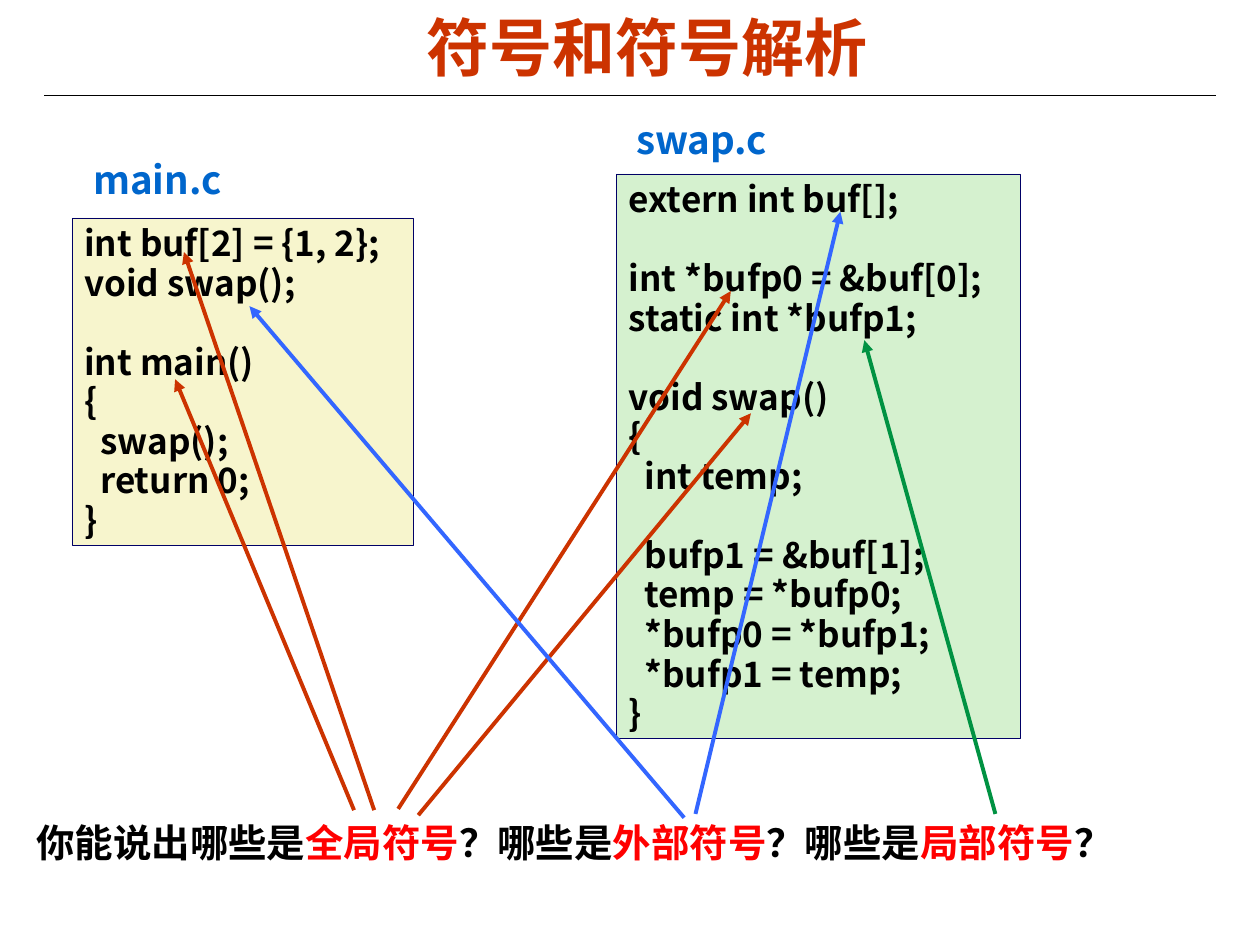
from dataclasses import dataclass

from lxml import etree
from pptx import Presentation
from pptx.dml.color import RGBColor
from pptx.enum.shapes import MSO_CONNECTOR, MSO_SHAPE
from pptx.enum.text import MSO_ANCHOR, PP_ALIGN
from pptx.oxml.ns import qn
from pptx.slide import Slide
from pptx.util import Inches, Pt

COLORS = {
    "title": "CC3300", "black": "000000", "border": "000066",
    "file": "0066CC", "main": "F7F5CD", "swap": "D5F1CF", "term": "FF0000",
    "global": "CC3300", "external": "3366FF", "local": "009242",
}

MAIN_CODE = """int buf[2] = {1, 2};
void swap();

int main()
{
  swap();
  return 0;
}"""

SWAP_CODE = """extern int buf[];

int *bufp0 = &buf[0];
static int *bufp1;

void swap()
{
  int temp;

  bufp1 = &buf[1];
  temp = *bufp0;
  *bufp0 = *bufp1;
  *bufp1 = temp;
}"""

QUESTION = [
    ("你能说出哪些是", "black"), ("全局符号", "term"),
    ("？哪些是", "black"), ("外部符号", "term"),
    ("？哪些是", "black"), ("局部符号", "term"), ("？", "black"),
]

SYMBOL_ARROWS = {
    "global": [((2.97, 6.43), (1.46, 2)), ((2.81, 6.43), (1.39, 3.01)),
               ((3.16, 6.42), (5.8, 2.31)), ((3.32, 6.47), (5.96, 3.28))],
    "external": [((5.43, 6.49), (1.98, 2.43)), ((5.52, 6.46), (6.67, 1.68))],
    "local": [((7.9, 6.46), (6.86, 2.7))],
}


def rgb(name):
    """Return the named palette colour."""
    return RGBColor.from_string(COLORS[name])


def write(paragraph, text, *, size, color="black", font="Arial", align=PP_ALIGN.LEFT,
          line=None, before=None):
    """Add one bold run of text to a paragraph and format both."""
    paragraph.alignment = align
    if line:
        paragraph.line_spacing = Pt(line)
    if before:
        paragraph.space_before = Pt(before)
    run = paragraph.add_run()
    run.text = text
    run.font.size = Pt(size)
    run.font.name = font
    run.font.bold = True
    run.font.color.rgb = rgb(color)


@dataclass
class SlideBuilder:
    """Hold the style and the slide that is being built."""

    slide: Slide
    code_font: str = "Noto Sans CJK SC"
    code_size: int = 20
    code_line: float = 22.6
    label_size: int = 22

    def title(self, text, left, top, width, height):
        """Fill and place the title placeholder."""
        heading = self.slide.shapes.title
        heading.left, heading.top = Inches(left), Inches(top)
        heading.width, heading.height = Inches(width), Inches(height)
        heading.text_frame.vertical_anchor = MSO_ANCHOR.MIDDLE
        write(heading.text_frame.paragraphs[0], text, size=36, color="title",
              align=PP_ALIGN.CENTER)

    def label(self, parts, left, top, width, height, **style):
        """Add a one-line text box made of coloured parts."""
        box = self.slide.shapes.add_textbox(
            Inches(left), Inches(top), Inches(width), Inches(height))
        box.text_frame.word_wrap = True
        for text, color in parts:
            write(box.text_frame.paragraphs[0], text, size=self.label_size,
                  color=color, **style)

    def file_name(self, text, left, top, width):
        """Add the name above a code listing."""
        self.label([(text, "file")], left, top, width, 0.44,
                   font=self.code_font, line=24.8)

    def code(self, source, fill, left, top, width, height):
        """Add a filled listing, with blank source lines as paragraph spacing."""
        panel = self.slide.shapes.add_shape(
            MSO_SHAPE.RECTANGLE, Inches(left), Inches(top), Inches(width), Inches(height))
        panel.shadow.inherit = False
        panel.fill.solid()
        panel.fill.fore_color.rgb = rgb(fill)
        panel.line.color.rgb = rgb("border")
        panel.line.width = Pt(0.25)
        frame = panel.text_frame
        frame.word_wrap = True
        frame.vertical_anchor = MSO_ANCHOR.TOP
        paragraph, gap = frame.paragraphs[0], None
        for number, text in enumerate(source.splitlines()):
            if not text:
                gap = self.code_line
                continue
            if number:
                paragraph = frame.add_paragraph()
            write(paragraph, text, size=self.code_size, font=self.code_font,
                  line=self.code_line, before=gap)
            gap = None

    def line(self, start, end, color, width, arrow=False):
        """Add a straight line, with an arrowhead at its end on request."""
        link = self.slide.shapes.add_connector(
            MSO_CONNECTOR.STRAIGHT, *(Inches(value) for value in (*start, *end)))
        link.line.color.rgb = rgb(color)
        link.line.width = Pt(width)
        properties = link.element.spPr
        if arrow:
            etree.SubElement(properties.find(qn("a:ln")), qn("a:tailEnd"), type="triangle")
        etree.SubElement(properties, qn("a:effectLst"))


def main():
    """Build the slide on symbols and symbol resolution."""
    deck = Presentation()
    deck.slide_width, deck.slide_height = Inches(10), Inches(7.5)
    builder = SlideBuilder(deck.slides.add_slide(deck.slide_layouts[5]))

    builder.line((0.35, 0.76), (9.65, 0.76), "black", 0.75)
    builder.title("符号和符号解析", 0.37, -0.06, 9.53, 0.86)
    builder.code(MAIN_CODE, "main", 0.57, 1.73, 2.71, 2.6)
    builder.file_name("main.c", 0.64, 1.21, 1.29)
    builder.code(SWAP_CODE, "swap", 4.89, 1.38, 3.21, 4.48)
    builder.file_name("swap.c", 4.95, 0.89, 1.46)
    builder.label(QUESTION, 0.19, 6.45, 8.95, 0.47)
    for kind, arrows in SYMBOL_ARROWS.items():
        for start, end in arrows:
            builder.line(start, end, kind, 2.25, arrow=True)

    deck.save("out.pptx")


if __name__ == "__main__":
    main()
